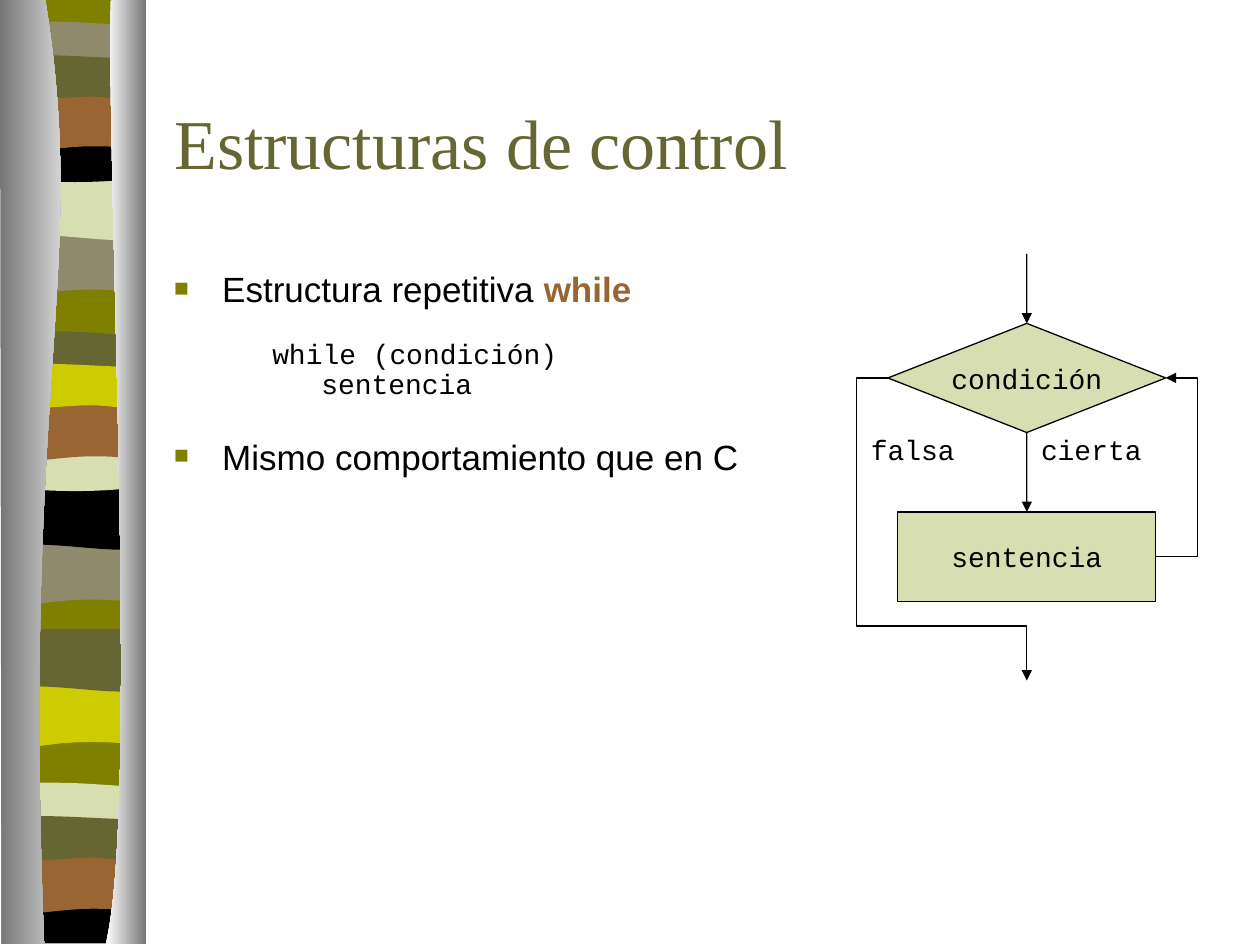
"""Build the slide on the while loop, with its flow chart and striped side band."""
from lxml import etree
from pptx import Presentation
from pptx.dml.color import RGBColor
from pptx.enum.shapes import MSO_CONNECTOR, MSO_SHAPE
from pptx.enum.text import MSO_ANCHOR, MSO_AUTO_SIZE, PP_ALIGN
from pptx.oxml.ns import qn
from pptx.util import Cm, Pt

STRAIGHT, ELBOW = MSO_CONNECTOR.STRAIGHT, MSO_CONNECTOR.ELBOW
DECISION, PROCESS = MSO_SHAPE.FLOWCHART_DECISION, MSO_SHAPE.FLOWCHART_PROCESS
LEFT, CENTER = PP_ALIGN.LEFT, PP_ALIGN.CENTER
MIDDLE, NO_FIT = MSO_ANCHOR.MIDDLE, MSO_AUTO_SIZE.NONE
COLORS = {"olive": "808000", "stone": "908A6C", "pale": "D6DEB2", "black": "000000",
          "brown": "996633", "moss": "666633", "lime": "CCCC00",
          "gray": "767676", "white": "FFFFFF"}
SERIF, SANS, MONO = "Times New Roman", "Arial", "Courier New"


def write(paragraph, text, size=16, font=MONO, color="black", bold=False):
    """Add a formatted span of text to a paragraph."""
    span = paragraph.add_run()
    span.text = text
    span.font.size, span.font.name, span.font.bold = Pt(size), font, bold
    span.font.color.rgb = RGBColor.from_string(COLORS[color])


def trace(shapes, outline, left=0, top=0):
    """Draw a closed outline of points and Bezier segments, given in centimetres."""
    corners = [(Cm(left + x), Cm(top + y)) for segment in outline
               for x, y in zip(segment[::2], segment[1::2])]
    builder = shapes.build_freeform(*corners[0])
    builder.add_line_segments(corners[1:], close=True)
    shape = builder.convert_to_shape()
    strokes = iter(list(shape._element.iter(qn("a:lnTo"))))
    for segment in outline[1:]:
        stroke = next(strokes)
        if len(segment) == 6:
            stroke.tag = qn("a:cubicBezTo")
            for _ in range(2):
                following = next(strokes)
                stroke.append(following[0])
                following.getparent().remove(following)
    shape.shadow.inherit = False
    shape.line.fill.background()
    return shape


deck = Presentation()
deck.slide_width, deck.slide_height = Cm(25.4), Cm(19.05)
page = deck.slides.add_slide(deck.slide_layouts[5])
shapes = page.shapes

outlines = {
    "column": [(2.74, 0), (2.74, 19), (0, 19), (0, 0)],
    "swell": [(2.74, 0), (2.74, 1.2), (0.84, 0.99, 0.46, 1.4, 0, 1.2), (0, 0)],
    "slope": [(2.74, 0), (2.74, 1.2), (2.29, 1.4, 0.84, 1.04, 0, 1.2), (0, 0)],
    "lens": [(2.74, 0.13), (2.74, 0.74), (2.29, 0.84, 0.46, 0.84, 0, 0.74), (0, 0.13),
             (0.15, 0, 0.58, 0.03, 1.04, 0.03), (1.5, 0.03, 2.39, 0.1, 2.74, 0.13)],
    "bowl": [(2.74, 0), (2.74, 0.81), (2.29, 0.97, 0.46, 0.97, 0, 0.81), (0, 0),
             (1.68, 0.13, 2.16, 0, 2.74, 0)],
    "arch": [(2.74, 0), (2.74, 1.2), (2.31, 1.07, 2.13, 1.07, 1.68, 1.07),
             (1.22, 1.07, 0.41, 1.2, 0, 1.2), (0, 0)],
    "wave": [(2.74, 0.13), (2.74, 0.91), (2.57, 1.04, 2.13, 0.91, 1.68, 0.91),
             (1.22, 0.91, 0.28, 1.04, 0, 0.91), (0, 0.13),
             (0.38, 0, 1.85, 0.13, 2.31, 0.13), (2.77, 0.13, 2.67, 0.13, 2.74, 0.13)],
    "base": [(2.74, 0), (2.74, 0.94), (0, 0.94), (0, 0), (1.68, 0.13, 2.16, 0, 2.74, 0)],
}
stripes = [
    ("column", -0.02, "olive"),
    ("swell", 4.7, "stone"), ("slope", 3.58, "pale"), ("lens", 0.41, "stone"),
    ("bowl", 2.74, "black"), ("arch", 1.88, "brown"), ("wave", 1.04, "moss"),
    ("swell", 10.95, "stone"), ("slope", 9.82, "black"), ("lens", 6.65, "moss"),
    ("bowl", 8.97, "pale"), ("arch", 8.13, "brown"), ("wave", 7.26, "lime"),
    ("swell", 13.82, "lime"), ("slope", 12.68, "moss"), ("lens", 15.75, "pale"),
    ("base", 18.08, "black"), ("arch", 17.25, "brown"), ("wave", 16.38, "moss"),
]
for name, top, color in stripes:
    stripe = trace(shapes, outlines[name], 0.14, top)
    stripe.fill.solid()
    stripe.fill.fore_color.rgb = RGBColor.from_string(COLORS[color])

edges = [
    ([(0.91, 0), (1.8, 5.49, 0.43, 7.52, 0.89, 19.05), (0.03, 19.05), (0, 0)],
     ("gray", "white")),
    ([(2.24, 0), (2.13, 3.18, 2.82, 16.41, 2.13, 19.05), (2.95, 19.05), (2.95, 0)],
     ("white", "gray")),
]
for outline, shades in edges:
    edge = trace(shapes, outline, 0, -0.02)
    edge.fill.gradient()
    edge.fill.gradient_angle = 0
    for stop, shade in zip(edge.fill.gradient_stops, shades):
        stop.color.rgb = RGBColor.from_string(COLORS[shade])

title = shapes.title
title.left, title.top, title.width, title.height = Cm(3.26), Cm(1.27), Cm(21.59), Cm(3.18)
title.text_frame.vertical_anchor = MIDDLE
title.text_frame.auto_size = NO_FIT
title.text_frame.paragraphs[0].alignment = LEFT
write(title.text_frame.paragraphs[0], "Estructuras de control", 40, SERIF, "moss")

body = shapes.add_textbox(Cm(3.26), Cm(5.51), Cm(21.59), Cm(4.83)).text_frame
body.word_wrap = True
heading = {"size": 20, "font": SANS}
lines = [
    (0.97, -0.97, 0, True, [("Estructura repetitiva ", heading),
                            ("while", {**heading, "color": "brown", "bold": True})]),
    (2.97, -0.99, 21, False, [("while (condición)", {})]),
    (2.97, -0.99, 4, False, [("\tsentencia", {})]),
    (0.97, -0.97, 27, True, [("Mismo comportamiento que en C", heading)]),
]
for index, (margin, indent, space, bulleted, spans) in enumerate(lines):
    para = body.add_paragraph() if index else body.paragraphs[0]
    para.line_spacing, para.space_before = 0.7, Pt(space)
    properties = para._p.get_or_add_pPr()
    properties.set("marL", str(Cm(margin)))
    properties.set("indent", str(Cm(indent)))
    if bulleted:
        tint = etree.SubElement(properties, qn("a:buClr"))
        etree.SubElement(tint, qn("a:srgbClr"), val=COLORS["olive"])
        etree.SubElement(properties, qn("a:buSzPct"), val="70000")
        etree.SubElement(properties, qn("a:buFont"), typeface=SANS)
        etree.SubElement(properties, qn("a:buChar"), char="■")
    for text, style in spans:
        write(para, text, **style)

nodes = []
for kind, text, left, top, width, height in [
        (DECISION, "condición", 17.9, 6.52, 5.6, 2.2),
        (PROCESS, "sentencia", 18.1, 10.32, 5.2, 1.8)]:
    node = shapes.add_shape(kind, Cm(left), Cm(top), Cm(width), Cm(height))
    node.shadow.inherit = False
    node.fill.solid()
    node.fill.fore_color.rgb = RGBColor.from_string(COLORS["pale"])
    node.line.color.rgb = RGBColor.from_string(COLORS["black"])
    node.line.width = Pt(0.75)
    node.text_frame.word_wrap = False
    node.text_frame.vertical_anchor = MIDDLE
    node.text_frame.paragraphs[0].alignment = CENTER
    write(node.text_frame.paragraphs[0], text)
    nodes.append(node)
condition, sentence = nodes

arrows = [
    (STRAIGHT, (20.7, 8.72), (20.7, 10.32), (condition, 2), (sentence, 0), None, []),
    (STRAIGHT, (20.7, 5.12), (20.7, 6.52), None, (condition, 0), None, []),
    (ELBOW, (23.3, 11.22), (23.5, 7.62), (sentence, 3), (condition, 3),
     "bentConnector3", [420000]),
    (ELBOW, (17.9, 7.62), (20.7, 13.72), (condition, 1), None,
     "bentConnector4", [-22700, 82000]),
]
for kind, start, end, source, target, preset, bends in arrows:
    arrow = shapes.add_connector(kind, *map(Cm, start + end))
    if source:
        arrow.begin_connect(*source)
    if target:
        arrow.end_connect(*target)
    arrow.line.color.rgb = RGBColor.from_string(COLORS["black"])
    arrow.line.width = Pt(0.75)
    drawing = arrow._element.spPr
    etree.SubElement(drawing.find(qn("a:ln")), qn("a:tailEnd"), type="triangle")
    etree.SubElement(drawing, qn("a:effectLst"))
    if preset:
        geometry = drawing.find(qn("a:prstGeom"))
        geometry.set("prst", preset)
        for number, bend in enumerate(bends, 1):
            etree.SubElement(geometry.find(qn("a:avLst")), qn("a:gd"),
                             name=f"adj{number}", fmla=f"val {bend}")

for text, left in [("cierta", 20.5), ("falsa", 16.9)]:
    label = shapes.add_textbox(Cm(left), Cm(8.59), Cm(3), Cm(0.94)).text_frame
    label.word_wrap = True
    label.paragraphs[0].alignment = CENTER
    write(label.paragraphs[0], text)

deck.save("out.pptx")
